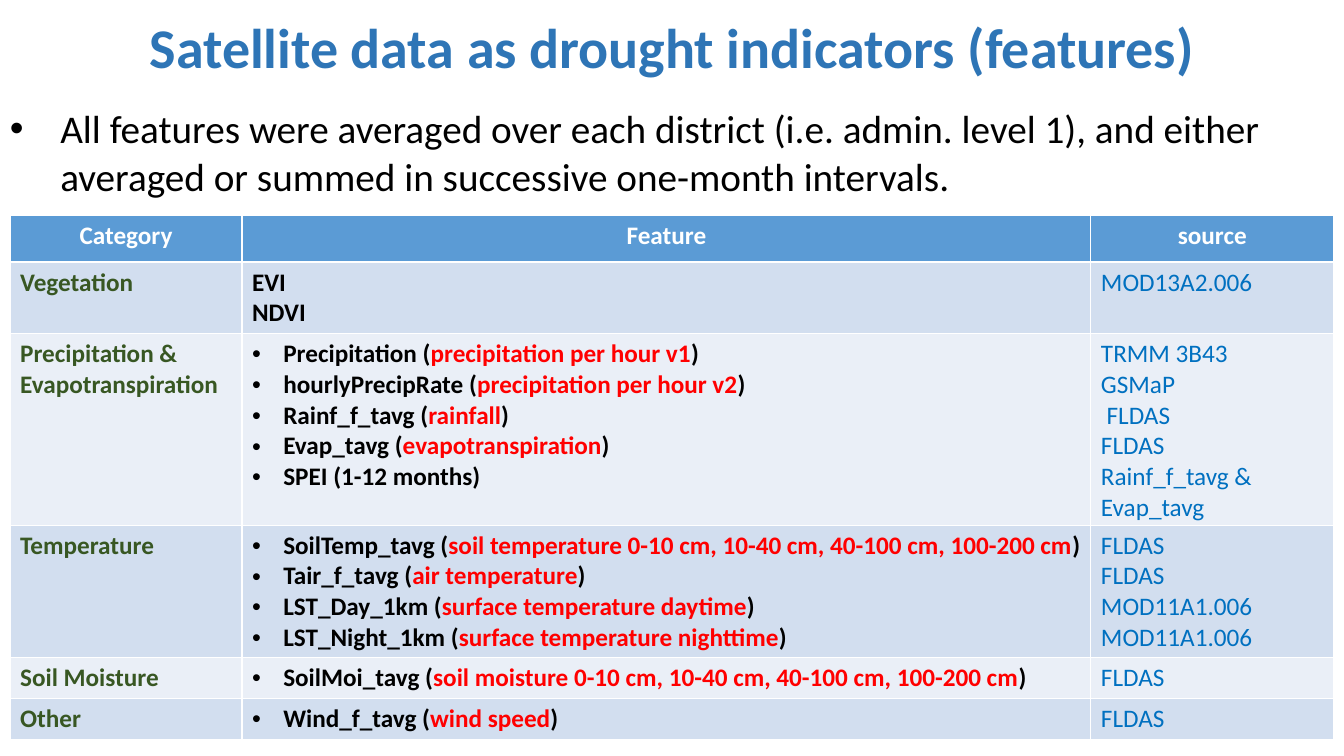
from lxml.etree import SubElement
from pptx import Presentation
from pptx.dml.color import RGBColor as RGB
from pptx.enum.text import MSO_ANCHOR as Anchor, PP_ALIGN as Align
from pptx.oxml.ns import qn
from pptx.util import Inches, Pt

BLUE = RGB(0x2E, 0x75, 0xB6)
HEAD = RGB(0x5B, 0x9B, 0xD5)
BANDS = RGB(0xD2, 0xDE, 0xEF), RGB(0xEA, 0xEF, 0xF7)
GREEN = RGB(0x38, 0x57, 0x23)
LINK = RGB(0x00, 0x70, 0xC0)
RED = RGB(0xFF, 0x00, 0x00)
BLACK = RGB(0x00, 0x00, 0x00)
WHITE = RGB(0xFF, 0xFF, 0xFF)

TITLE = "Satellite data as drought indicators (features)"
INTRO = ("All features were averaged over each district (i.e. admin. level 1), "
         "and either averaged or summed in successive one-month intervals.")
HEADS = "Category", "Feature", "source"
DEPTHS = "0-10 cm, 10-40 cm, 40-100 cm, 100-200 cm"
GROUPS = [
    ("Vegetation", [("EVI", ""), ("NDVI", "")], ["MOD13A2.006"]),
    ("Precipitation & Evapotranspiration",
     [("Precipitation", "precipitation per hour v1"),
      ("hourlyPrecipRate", "precipitation per hour v2"),
      ("Rainf_f_tavg", "rainfall"),
      ("Evap_tavg", "evapotranspiration"),
      ("SPEI (1-12 months)", "")],
     ["TRMM 3B43", "GSMaP", " FLDAS", "FLDAS", "Rainf_f_tavg & Evap_tavg"]),
    ("Temperature",
     [("SoilTemp_tavg", f"soil temperature {DEPTHS}"),
      ("Tair_f_tavg", "air temperature"),
      ("LST_Day_1km", "surface temperature daytime"),
      ("LST_Night_1km", "surface temperature nighttime")],
     ["FLDAS", "FLDAS", "MOD11A1.006", "MOD11A1.006"]),
    ("Soil Moisture", [("SoilMoi_tavg", f"soil moisture {DEPTHS}")], ["FLDAS"]),
    ("Other", [("Wind_f_tavg", "wind speed")], ["FLDAS"]),
]
WIDTHS = 2.3, 8.42, 2.41
HEIGHTS = 0.46, 0.71, 1.31, 1.31, 0.41, 0.41


def add_run(para, text, color, size=18, bold=True):
    """Add one formatted run to a paragraph."""
    run = para.add_run()
    run.text = text
    look = {"name": "Calibri", "size": Pt(size), "bold": bold}
    for key, value in look.items():
        setattr(run.font, key, value)
    run.font.color.rgb = color


def add_dot(para, indent):
    """Give a paragraph a hanging round bullet."""
    props = para._p.get_or_add_pPr()
    for key, sign in {"marL": 1, "indent": -1}.items():
        props.set(key, str(sign * Inches(indent)))
    SubElement(props, qn("a:buFont"), typeface="Arial")
    SubElement(props, qn("a:buChar"), char="•")


def add_box(slide, box, anchor):
    """Add a wrapping text box and return its first paragraph."""
    frame = slide.shapes.add_textbox(*map(Inches, box)).text_frame
    frame.word_wrap = True
    frame.vertical_anchor = anchor
    return frame.paragraphs[0]


def add_title(slide, box):
    """Place the centred slide title in its box."""
    para = add_box(slide, box, Anchor.MIDDLE)
    para.alignment = Align.CENTER
    para.line_spacing = 0.9
    add_run(para, TITLE, BLUE, 40)


def add_intro(slide, box):
    """Place the bulleted introduction in its box."""
    para = add_box(slide, box, Anchor.TOP)
    add_dot(para, 0.5)
    add_run(para, INTRO, BLACK, 28, False)


def fill_cell(cell, fill, lines, align=Align.LEFT, dots=False, bold=True):
    """Fill a cell with lines, each a list of text and colour pairs."""
    cell.fill.solid()
    cell.fill.fore_color.rgb = fill
    frame = cell.text_frame
    for i, line in enumerate(lines):
        para = frame.add_paragraph() if i else frame.paragraphs[0]
        para.alignment = align
        if dots:
            add_dot(para, 0.31)
        for text, color in line:
            add_run(para, text, color, bold=bold)


def split_line(name, note):
    """Return the coloured parts of a feature line."""
    if not note:
        return [(name, BLACK)]
    return [(f"{name} (", BLACK), (note, RED), (")", BLACK)]


def add_grid(slide, box):
    """Place the table of features in its box."""
    table = slide.shapes.add_table(
        len(HEIGHTS), len(WIDTHS), *map(Inches, box)).table
    for col, width in zip(table.columns, WIDTHS):
        col.width = Inches(width)
    for row, height in zip(table.rows, HEIGHTS):
        row.height = Inches(height)
    for c, head in enumerate(HEADS):
        fill_cell(table.cell(0, c), HEAD, [[(head, WHITE)]], Align.CENTER)
    for r, (group, items, feeds) in enumerate(GROUPS, 1):
        band = BANDS[(r - 1) % 2]
        lines = [split_line(*item) for item in items]
        fill_cell(table.cell(r, 0), band, [[(group, GREEN)]])
        fill_cell(table.cell(r, 1), band, lines, dots=r > 1)
        fill_cell(table.cell(r, 2), band, [[(feed, LINK)] for feed in feeds],
                  bold=False)


def main():
    """Build the slide and save it."""
    deck = Presentation()
    deck.slide_width, deck.slide_height = Inches(13.33), Inches(7.5)
    slide = deck.slides.add_slide(deck.slide_layouts[6])
    add_title(slide, (0, 0, 13.33, 0.99))
    add_grid(slide, (0.1, 2.14, sum(WIDTHS), sum(HEIGHTS)))
    add_intro(slide, (0, 0.99, 13.33, 1.04))
    deck.save("out.pptx")


if __name__ == "__main__":
    main()
